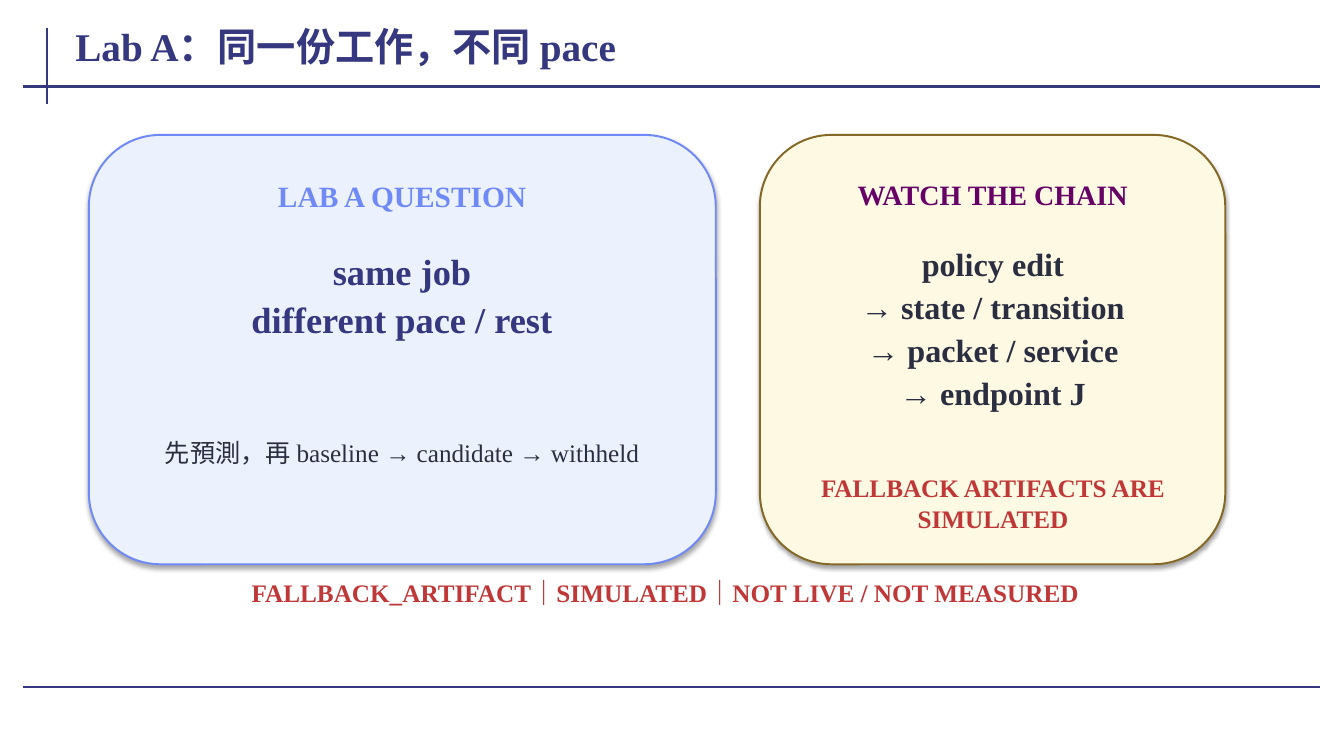
from lxml import etree
from pptx import Presentation
from pptx import util as u
from pptx.dml.color import RGBColor
from pptx.enum import shapes, text
from pptx.oxml import parse_xml
from pptx.oxml.ns import nsdecls, qn

NAVY = RGBColor(0x35, 0x37, 0x7F)
BLUE = RGBColor(0x6F, 0x89, 0xF7)
PALE = RGBColor(0xEC, 0xF1, 0xFE)
CREAM = RGBColor(0xFD, 0xF9, 0xE2)
BROWN = RGBColor(0x84, 0x68, 0x26)
PLUM = RGBColor(0x66, 0x00, 0x66)
INK = RGBColor(0x2B, 0x2E, 0x41)
RED = RGBColor(0xC0, 0x37, 0x37)

SHADOW = (
    f'<a:effectLst {nsdecls("a")}>'
    '<a:outerShdw blurRad="39370" dist="22860" dir="5400000" rotWithShape="0">'
    '<a:srgbClr val="000000"><a:alpha val="35000"/></a:srgbClr>'
    '</a:outerShdw></a:effectLst>'
)


class Deck:
    """Holds the text style and the current slide; lengths are in cm."""

    font = "Times New Roman"
    frame = {
        "margin_left": u.Cm(0.2), "margin_right": u.Cm(0.2),
        "margin_top": u.Cm(0.08), "margin_bottom": u.Cm(0.05),
        "word_wrap": True, "vertical_anchor": text.MSO_ANCHOR.TOP,
    }

    def __init__(self):
        self.prs = Presentation()
        self.prs.slide_width = u.Cm(33.87)
        self.prs.slide_height = u.Cm(19.05)
        self.slide = self.prs.slides.add_slide(self.prs.slide_layouts[5])

    def fill_text(self, frame, lines, size, color, bold, align, space, fit):
        for key, val in {**self.frame, "auto_size": fit}.items():
            setattr(frame, key, val)
        font = {"name": self.font, "size": u.Pt(size), "bold": bold}
        para = {"alignment": align, "space_before": u.Pt(0),
                "space_after": u.Pt(2), "line_spacing": space}
        frame.text = "\n".join(lines)
        for p in frame.paragraphs:
            for key, val in para.items():
                setattr(p, key, val)
            for run in p.runs:
                for key, val in font.items():
                    setattr(run.font, key, val)
                run.font.color.rgb = color

    def title(self, box, words, size, color):
        shape = self.slide.shapes.title
        shape.left, shape.top, shape.width, shape.height = map(u.Cm, box)
        self.fill_text(shape.text_frame, [words], size, color, True,
                       text.PP_ALIGN.LEFT, 1.0, text.MSO_AUTO_SIZE.NONE)

    def label(self, box, lines, size, color, bold=True):
        shape = self.slide.shapes.add_textbox(*map(u.Cm, box))
        self.fill_text(shape.text_frame, lines, size, color, bold,
                       text.PP_ALIGN.CENTER, 1.04,
                       text.MSO_AUTO_SIZE.SHAPE_TO_FIT_TEXT)

    def rule(self, *ends):
        line = self.slide.shapes.add_connector(
            shapes.MSO_CONNECTOR.STRAIGHT, *map(u.Cm, ends))
        line.line.color.rgb = NAVY
        line.line.width = u.Pt(1.5)
        etree.SubElement(line._element.spPr, qn("a:effectLst"))

    def card(self, box, fill, edge):
        shape = self.slide.shapes.add_shape(
            shapes.MSO_SHAPE.ROUNDED_RECTANGLE, *map(u.Cm, box))
        shape.fill.solid()
        shape.fill.fore_color.rgb = fill
        shape.line.color.rgb = edge
        shape.line.width = u.Pt(1.4)
        shape._element.spPr.append(parse_xml(SHADOW))


def main():
    deck = Deck()
    deck.rule(1.19, 0.71, 1.19, 2.62)
    for y in (2.18, 17.32):
        deck.rule(0.58, y, 33.27, y)
    deck.title((1.7, 0.48, 30.48, 1.6), "Lab A：同一份工作，不同 pace", 28, NAVY)

    deck.card((2.24, 3.4, 15.8, 10.82), PALE, BLUE)
    deck.label((3.05, 4.37, 14.17, 0.86), ["LAB A QUESTION"], 21, BLUE)
    deck.label((3, 6.15, 14.27, 3.3),
               ["same job", "different pace / rest"], 26, NAVY)
    deck.label((3.15, 10.92, 13.97, 1.68),
               ["先預測，再 baseline → candidate → withheld"], 18, INK, False)

    deck.card((19.15, 3.4, 11.73, 10.82), CREAM, BROWN)
    deck.label((19.91, 4.37, 10.21, 0.86), ["WATCH THE CHAIN"], 20, PLUM)
    deck.label((20.02, 6.05, 10.01, 4.11),
               ["policy edit", "→ state / transition",
                "→ packet / service", "→ endpoint J"], 23, INK)
    deck.label((20.07, 11.79, 9.91, 1.07),
               ["FALLBACK ARTIFACTS ARE SIMULATED"], 18, RED)

    deck.label((2.34, 14.43, 28.85, 0.76),
               ["FALLBACK_ARTIFACT｜SIMULATED｜NOT LIVE / NOT MEASURED"], 18, RED)
    deck.prs.save("out.pptx")


if __name__ == "__main__":
    main()
